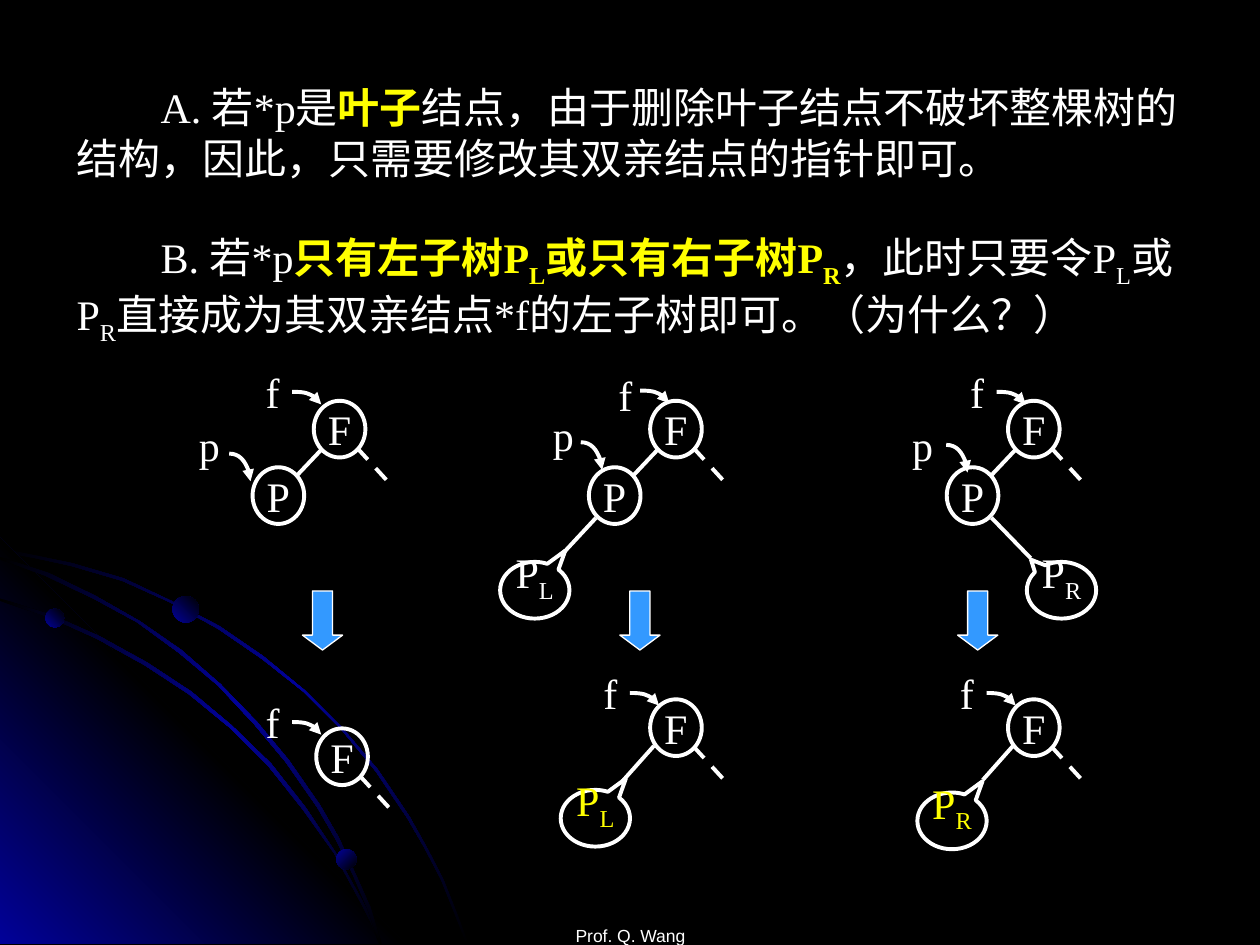
from lxml.etree import SubElement
from pptx import Presentation
from pptx.dml.color import RGBColor
from pptx.enum.dml import MSO_LINE
from pptx.enum.shapes import MSO_CONNECTOR, MSO_SHAPE
from pptx.enum.text import MSO_ANCHOR, MSO_AUTO_SIZE, PP_ALIGN
from pptx.oxml import parse_xml
from pptx.oxml.ns import nsdecls, qn
from pptx.util import Pt

BLACK = RGBColor(0x00, 0x00, 0x00)
WHITE = RGBColor(0xFF, 0xFF, 0xFF)
YELLOW = RGBColor(0xFF, 0xFF, 0x00)
NAVY = RGBColor(0x01, 0x01, 0x99)
SKY = RGBColor(0x33, 0x99, 0xFF)

BODY = dict(name="Times New Roman", size=Pt(24), bold=False, color=WHITE)
KEY = dict(BODY, bold=True, color=YELLOW)
RESULT = dict(BODY, color=YELLOW)
FOOTER = dict(BODY, name="Arial", size=Pt(10))

NODE_W, NODE_H = 29.5, 32.4
SUBTREE_W, SUBTREE_H = 39.6, 32.4
STROKE = 2.25


class TreeSlide:
    """Holds the current slide and draws its elements; lengths in points."""

    def __init__(self, slide):
        self.slide = slide
        self.shapes = slide.shapes
        slide.background.fill.solid()
        slide.background.fill.fore_color.rgb = BLACK

    def add_runs(self, paragraph, runs):
        """Each run is (text, format); a leading "_" marks a subscript."""
        for text, style in runs:
            run = paragraph.add_run()
            run.text = text.lstrip("_")
            if text.startswith("_"):
                run._r.get_or_add_rPr().set("baseline", "-25000")
            for key, value in style.items():
                if key == "color":
                    run.font.color.rgb = value
                else:
                    setattr(run.font, key, value)

    def text(self, x, y, w, h, runs, align=PP_ALIGN.LEFT, **frame_format):
        frame = self.shapes.add_textbox(Pt(x), Pt(y), Pt(w), Pt(h)).text_frame
        for key, value in frame_format.items():
            setattr(frame, key, value)
        frame.paragraphs[0].alignment = align
        self.add_runs(frame.paragraphs[0], runs)
        return frame

    def label(self, x, y, w, text):
        self.text(x, y, w, 36, [(text, BODY)], word_wrap=False,
                  auto_size=MSO_AUTO_SIZE.SHAPE_TO_FIT_TEXT)

    def shape(self, kind, x, y, w, h, fill=None, stroke=STROKE, adjust=()):
        shape = self.shapes.add_shape(kind, Pt(x), Pt(y), Pt(w), Pt(h))
        shape.shadow.inherit = False
        if fill is None:
            shape.fill.background()
        else:
            shape.fill.solid()
            shape.fill.fore_color.rgb = fill
        shape.line.color.rgb = WHITE
        shape.line.width = Pt(stroke)
        for i, value in enumerate(adjust):
            shape.adjustments[i] = value
        return shape

    def caption(self, shape, runs, anchor):
        frame = shape.text_frame
        frame.word_wrap = False
        frame.vertical_anchor = anchor
        frame.paragraphs[0].alignment = PP_ALIGN.CENTER
        self.add_runs(frame.paragraphs[0], runs)

    def node(self, x, y, name):
        circle = self.shape(MSO_SHAPE.OVAL, x, y, NODE_W, NODE_H)
        self.caption(circle, [(name, BODY)], MSO_ANCHOR.MIDDLE)

    def subtree(self, x, y, side, tip, style=BODY):
        bubble = self.shape(MSO_SHAPE.OVAL_CALLOUT, x, y, SUBTREE_W, SUBTREE_H, adjust=tip)
        self.caption(bubble, [("P", style), ("_" + side, style)], MSO_ANCHOR.BOTTOM)

    def line(self, x1, y1, x2, y2, kind=MSO_CONNECTOR.STRAIGHT, dash=None):
        line = self.shapes.add_connector(kind, Pt(x1), Pt(y1), Pt(x2), Pt(y2))
        line.line.color.rgb = WHITE
        line.line.width = Pt(STROKE)
        line.line.dash_style = dash
        SubElement(line._element.spPr, qn("a:effectLst"))
        return line

    def pointer(self, x, y, w, h):
        curve = self.line(x, y, x + w, y + h, MSO_CONNECTOR.CURVE)
        properties = curve._element.spPr
        properties.find(qn("a:prstGeom")).set("prst", "curvedConnector2")
        SubElement(properties.find(qn("a:ln")), qn("a:tailEnd"), type="triangle")

    def glow(self, shape, colors, angle):
        """Gradient with evenly spaced stops; angle is clockwise."""
        shape.shadow.inherit = False
        shape.line.fill.background()
        shape.fill.background()
        step = 100000 // (len(colors) - 1)
        stops = "".join(f'<a:gs pos="{i * step}"><a:srgbClr val="{c}"/></a:gs>'
                        for i, c in enumerate(colors))
        gradient = parse_xml(f'<a:gradFill {nsdecls("a")} rotWithShape="1"><a:gsLst>{stops}'
                             f'</a:gsLst><a:lin ang="{angle * 60000}" scaled="1"/></a:gradFill>')
        properties = shape._element.spPr
        properties.replace(properties.find(qn("a:noFill")), gradient)

    def outline(self, points, colors, angle):
        corners = [(Pt(x), Pt(y)) for x, y in points]
        builder = self.shapes.build_freeform(*corners[0], scale=1.0)
        builder.add_line_segments(corners[1:], close=True)
        self.glow(builder.convert_to_shape(), colors, angle)

    def planet(self, x, y, size, angle):
        ball = self.shape(MSO_SHAPE.OVAL, x, y, size, size)
        self.glow(ball, (NAVY, BLACK), angle)


OUTER_ORBIT = [
    (41, 321.8), (0, 313.2), (0, 315.4), (20.2, 319), (40.3, 323.3), (69.8, 331.9),
    (97.2, 344.2), (124.6, 359.3), (149.8, 376.6), (173.5, 395.3), (195.1, 416.9),
    (214.6, 440.6), (232.6, 467.3), (242.6, 484.6), (252, 502.6), (259.2, 520.6),
    (266.4, 539.3), (267.8, 539.3), (260.6, 520.6), (253.4, 502.6), (244.1, 484.6),
    (234, 466.6), (216, 439.9), (195.8, 416.2), (174.2, 394.6), (150.5, 375.1),
    (125.3, 357.8), (97.9, 343.4), (70.6, 330.5)]
INNER_ORBIT = [
    (205.2, 514.1), (211.7, 527), (216.7, 539.3), (218.2, 539.3), (213.1, 525.6),
    (205.9, 512.6), (191.5, 486.7), (174.2, 460.8), (154.8, 436.3), (132.5, 414.7),
    (109.4, 395.3), (84.2, 378.7), (56.9, 363.6), (29.5, 351.4), (0, 342), (0, 343.4),
    (28.1, 352.8), (55.4, 365), (82.8, 380.2), (108, 396.7), (131.8, 416.2),
    (153.4, 437.8), (172.8, 462.2), (190.8, 487.4)]
MIDDLE_ORBIT = [
    (0, 318.2), (0, 319.7), (25.9, 329), (53.3, 342), (78.5, 355.7), (102.2, 373),
    (124.6, 391.7), (145.4, 414), (163.4, 435.6), (181.4, 461.5), (192.2, 480.2),
    (201.6, 499.7), (210.2, 519.8), (216.7, 539.3), (218.2, 539.3), (211.7, 518.4),
    (203, 499), (193.7, 478.8), (182.9, 460.1), (164.9, 434.2), (146.9, 412.6),
    (126, 391), (103.7, 371.5), (79.9, 355), (54.7, 340.6), (28.1, 327.6)]
CORNER = [(231.8, 539.3), (0, 539.3), (0, 307.4)]

# F node, f label, f pointer
ROOTS = [
    ((179.3, 229), (144.7, 205.9), (167, 223.9)),
    ((371.5, 229), (346.3, 207.4), (365.8, 223.2)),
    ((576, 229), (547.2, 205.9), (569.5, 223.9)),
    ((180.7, 416.2), (144.7, 394.6), (167, 412.6)),
    ((371.5, 399.6), (337.7, 378), (360, 396)),
    ((576, 399.6), (541.4, 378), (563.8, 396)),
]
# p label, p pointer, for the first three roots
CHILDREN = [
    ((106.6, 236.2), (131, 259.2)),
    ((308.9, 230.4), (331.9, 252.7)),
    ((514.1, 236.2), (540.7, 254.2)),
]
LEFT_TIP, RIGHT_TIP = (-0.44, -0.54), (0.44, -0.7)
# Edge from the parent, subtree position, side, callout tip, format
SUBTREES = [
    ((340.6, 295.9, 321.8, 316.1), (285.8, 321.1), "L", RIGHT_TIP, BODY),
    ((566.6, 295.9, 589, 319), (586.8, 321.1), "R", LEFT_TIP, BODY),
    ((373.7, 426.2, 355.7, 446.4), (320.4, 451.4), "L", RIGHT_TIP, RESULT),
    ((578.9, 426.2, 561.6, 445.7), (524.2, 452.9), "R", RIGHT_TIP, RESULT),
]
CASE_A = [("A. 若*p是", BODY), ("叶子", KEY),
          ("结点，由于删除叶子结点不破坏整棵树的结构，因此，只需要修改其双亲结点的指针即可。", BODY)]
CASE_B = [("B. 若*p", BODY), ("只有左子树P", KEY), ("_L", KEY), ("或只有右子树P", KEY),
          ("_R", KEY), ("，此时只要令P", BODY), ("_L", BODY), ("或P", BODY), ("_R", BODY),
          ("直接成为其双亲结点*f的左子树即可。（为什么？）", BODY)]


def main():
    deck = Presentation()
    deck.slide_width, deck.slide_height = Pt(720), Pt(540)
    page = TreeSlide(deck.slides.add_slide(deck.slide_layouts[6]))

    # Orbits and planets in the corner
    page.outline(OUTER_ORBIT, (BLACK, NAVY, BLACK), 45)
    page.outline(CORNER, (NAVY, BLACK, NAVY), 315)
    for orbit in (INNER_ORBIT, MIDDLE_ORBIT):
        page.outline(orbit, (BLACK, NAVY, BLACK), 45)
    for planet in ((25.9, 347.8, 10.8, 315), (192.2, 485.3, 11.5, 45), (98.6, 340.6, 15.1, 315)):
        page.planet(*planet)

    # Footer and explanation
    page.text(246.2, 504.7, 228.2, 36, [("Prof. Q. Wang", FOOTER)], PP_ALIGN.CENTER,
              word_wrap=True, vertical_anchor=MSO_ANCHOR.BOTTOM, margin_bottom=0)
    cases = page.text(36.7, 43.2, 657.4, 187.9, CASE_A, word_wrap=True)
    second = cases.add_paragraph()
    second.space_before = Pt(28)
    page.add_runs(second, CASE_B)
    for paragraph in cases.paragraphs:
        paragraph._p.get_or_add_pPr().set("indent", str(Pt(48)))

    # Trees before (top row) and after (bottom row) deletion
    for (x, y), label, pointer in ROOTS:
        page.node(x, y, "F")
        page.line(x + 24.8, y + 27, x + 44.6, y + 48.6, dash=MSO_LINE.DASH)
        page.label(*label, 22.3, "f")
        page.pointer(*pointer, 16.6, 7.2)
    for ((x, y), *_), (label, pointer) in zip(ROOTS, CHILDREN):
        page.node(x - 35, y + 38, "P")
        page.line(x + 4.3, y + 28, x - 9.4, y + 42.5)
        page.label(*label, 25.9, "p")
        page.pointer(*pointer, 12.2, 15.8)
    for edge, place, side, tip, style in SUBTREES:
        page.line(*edge)
        page.subtree(*place, side, tip, style)

    # Arrows from before to after
    for x in (172.8, 354.2, 547.2):
        page.shape(MSO_SHAPE.DOWN_ARROW, x, 337.7, 23, 33.8, SKY, 0.75, (0.5, 0.37))

    deck.save("out.pptx")


if __name__ == "__main__":
    main()
